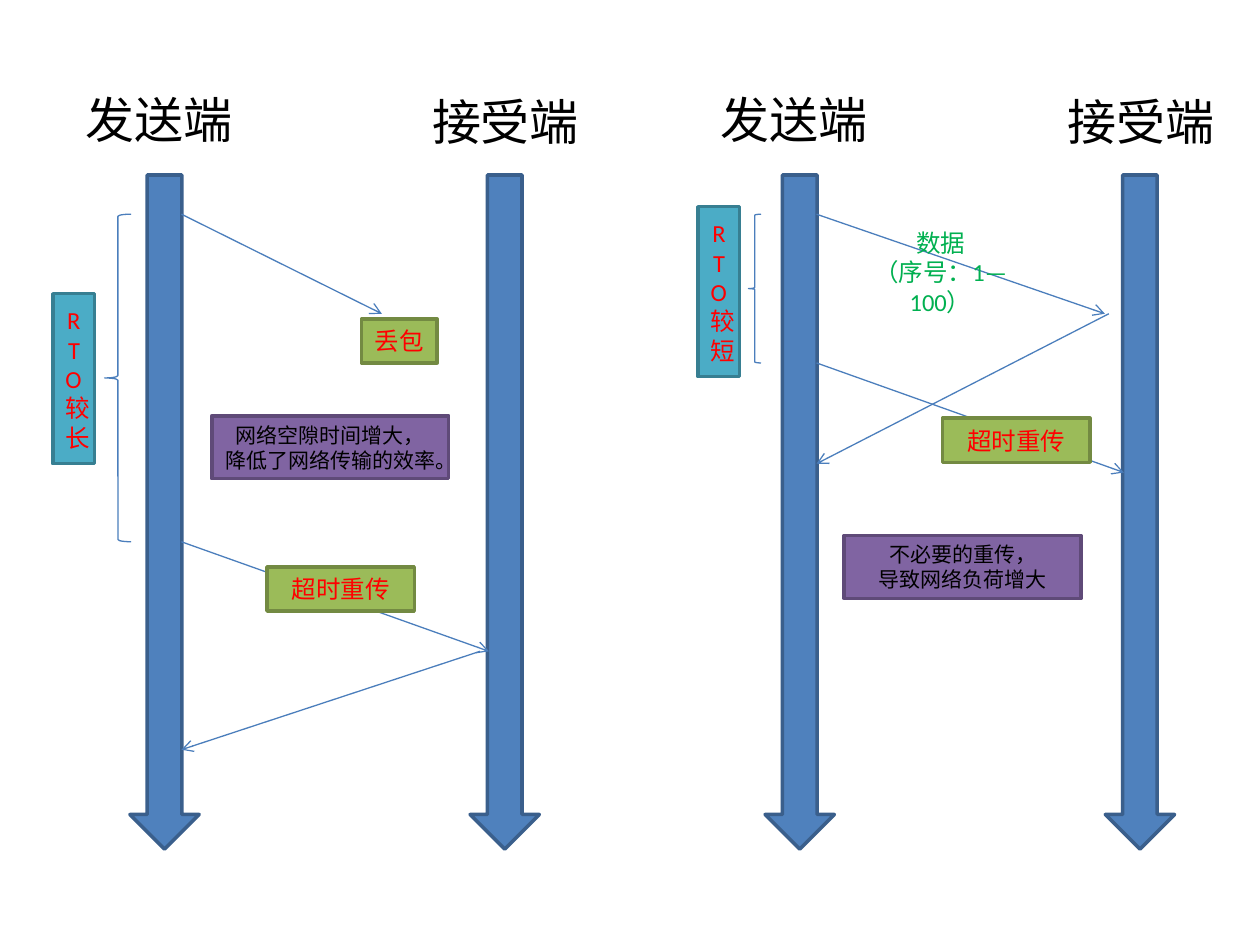
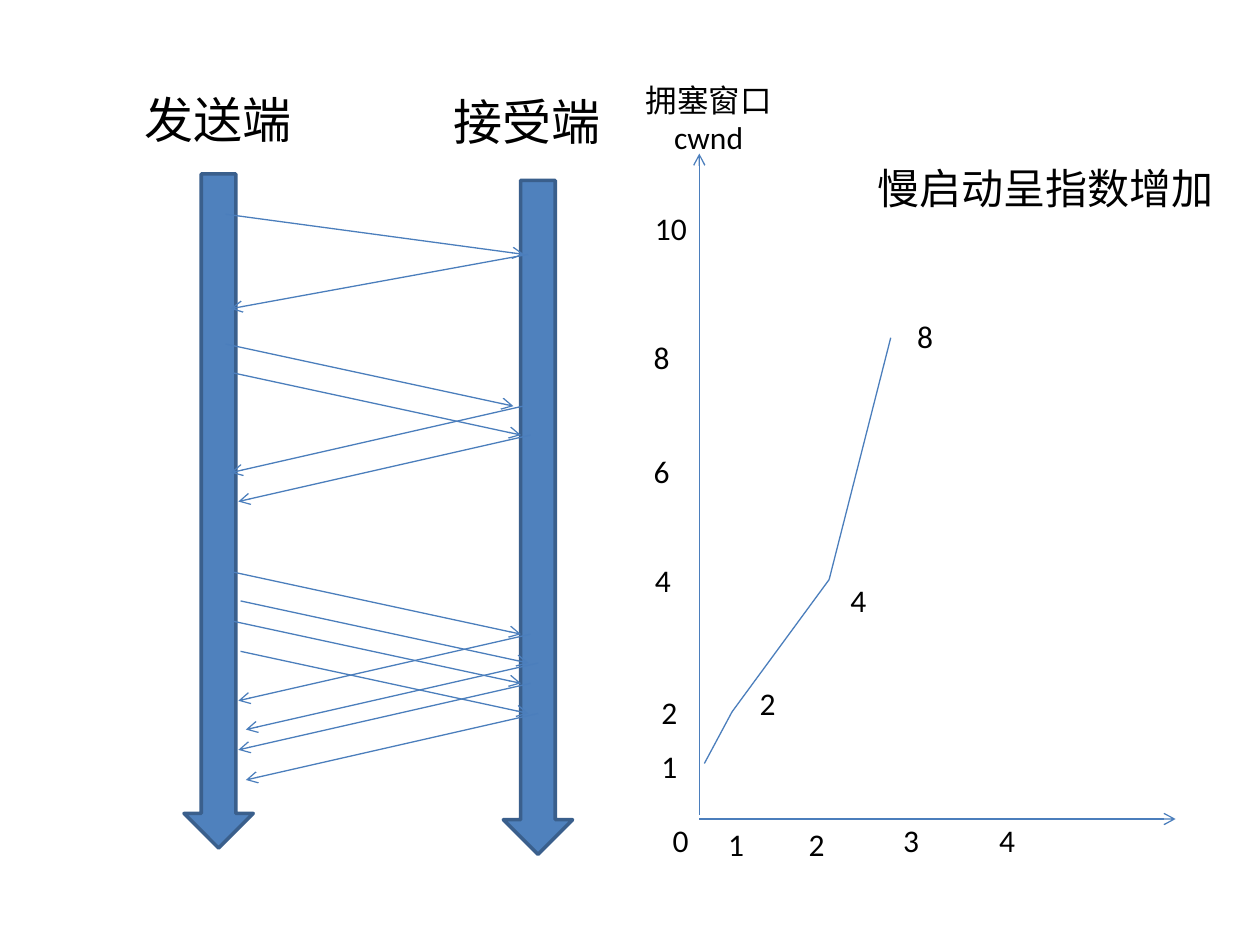
"""Build two slides on retransmission timeouts and slow start."""
from dataclasses import dataclass
from itertools import pairwise

from lxml import etree
from pptx import Presentation, util as u
from pptx.dml.color import RGBColor
from pptx.enum import shapes, text
from pptx.oxml.ns import qn


@dataclass(frozen=True)
class Theme:
    """Colours, font and type sizes."""
    font: str = "Calibri"
    ink: str = "000000"
    red: str = "FF0000"
    green: str = "00B050"
    line: str = "4B7EBC"
    lane: tuple = ("4F81BD", "3A5F8C")
    event: tuple = ("9BBB59", "738A42")
    timer: tuple = ("4BACC6", "377F92")
    note: tuple = ("8064A2", "5F4A78")
    head: int = 28
    title: int = 24
    axis: int = 18
    label: int = 14
    small: int = 12
    thin: float = 0.75
    edge: int = 2


T = Theme()
SHAPE = shapes.MSO_SHAPE
ALIGN = text.PP_ALIGN
ANCHOR = text.MSO_ANCHOR


def rgb(code):
    """Turn a hex code into a colour."""
    return RGBColor.from_string(code)


def write(shape, words, size=T.label, color=T.ink, align=ALIGN.LEFT, anchor=ANCHOR.TOP):
    """Write one paragraph per line of words into a shape."""
    frame = shape.text_frame
    frame.word_wrap = True
    frame.auto_size = text.MSO_AUTO_SIZE.NONE
    frame.vertical_anchor = anchor
    frame.text = words
    for para in frame.paragraphs:
        para.alignment = align
        for run in para.runs:
            run.font.name = T.font
            run.font.size = u.Pt(size)
            run.font.color.rgb = rgb(color)


def label(slide, words, x, y, w, h, **style):
    """Add a text box."""
    write(slide.shapes.add_textbox(*map(u.Pt, (x, y, w, h))), words, **style)


def form(slide, kind, x, y, w, h, fill=None, edge=T.line, width=T.thin):
    """Add a preset shape without a shadow."""
    shape = slide.shapes.add_shape(kind, *map(u.Pt, (x, y, w, h)))
    shape.shadow.inherit = False
    if fill:
        shape.fill.solid()
        shape.fill.fore_color.rgb = rgb(fill)
    else:
        shape.fill.background()
    shape.line.color.rgb = rgb(edge)
    shape.line.width = u.Pt(width)
    return shape


def box(slide, words, x, y, w, h, look, **style):
    """Add a filled box with centred text."""
    shape = form(slide, SHAPE.RECTANGLE, x, y, w, h, *look, T.edge)
    write(shape, words, align=ALIGN.CENTER, anchor=ANCHOR.MIDDLE, **style)


def event(slide, words, x, y, w=84.2):
    """Add a green box that names an event."""
    box(slide, words, x, y, w, 25.2, T.event, color=T.red)


def timer(slide, words, x, y):
    """Add a tall box that names a timeout."""
    box(slide, words, x, y, 23.8, 97.2, T.timer, color=T.red)


def note(slide, words, x, y):
    """Add a purple box with a remark."""
    box(slide, words, x, y, 135.4, 36, T.note, size=T.small)


def brace(slide, x, y, w, h):
    """Add a left brace."""
    form(slide, SHAPE.LEFT_BRACE, x, y, w, h)


def link(slide, start, end, arrow=True):
    """Draw a line between two points, with an arrowhead if asked."""
    ends = map(u.Pt, (*start, *end))
    line = slide.shapes.add_connector(shapes.MSO_CONNECTOR.STRAIGHT, *ends)
    line.line.color.rgb = rgb(T.line)
    line.line.width = u.Pt(T.thin)
    props = line.element.spPr
    if arrow:
        etree.SubElement(props.find(qn("a:ln")), qn("a:tailEnd"), type="arrow")
    etree.SubElement(props, qn("a:effectLst"))


def lane(slide, words, x, y, head, top):
    """Add a timeline arrow and its heading."""
    form(slide, SHAPE.DOWN_ARROW, x, y, 39.6, 385.2, *T.lane, T.edge)
    label(slide, words, head, top, 103, 41, size=T.head)


def lanes(slide, send, take):
    """Add the sender and receiver timelines."""
    lane(slide, "发送端", *send, 47.5)
    lane(slide, "接受端", *take, 49)


def timeouts(deck):
    """Compare a long timeout with a short one."""
    slide = deck.slides.add_slide(deck.slide_layouts[6])
    for x in (0, 363):
        lanes(slide, (x + 74.2, 100, x + 41.8), (x + 268.6, 100, x + 239.8))
    for start, end in (
        ((103.7, 122.4), (218.2, 179.3)),
        ((103.7, 309.6), (279.4, 372.2)),
        ((274.3, 372.2), (103.7, 428.4)),
        ((466.6, 122.4), (631.4, 179.3)),
        ((466.6, 207.4), (642.2, 270)),
        ((633.6, 179.3), (466.6, 265)),
    ):
        link(slide, start, end)
    brace(slide, 59.8, 122.4, 15.1, 187.2)
    brace(slide, 427.7, 122.4, 7.2, 85)
    timer(slide, "RTO较长", 30.2, 167.8)
    timer(slide, "RTO较短", 398.9, 118.1)
    event(slide, "丢包", 206.6, 182.2, 43.2)
    event(slide, "超时重传", 152.6, 324)
    event(slide, "超时重传", 538.6, 239)
    label(slide, "数据\n（序号：1—100）", 479.5, 126.7, 116, 39.6,
          color=T.green, align=ALIGN.CENTER)
    note(slide, "网络空隙时间增大，\n降低了网络传输的效率。", 121, 237.6)
    note(slide, "不必要的重传，\n导致网络负荷增大", 482.4, 306)


def trips(slide):
    """Draw data and reply arrows for the rounds of one, two and four."""
    link(slide, (128.9, 122.4), (299.5, 145.4))
    link(slide, (301.7, 145.4), (131.8, 176.4))
    for x, y in ((128.9, 196.6), (133.2, 213.1), (133.2, 326.9),
                 (137.5, 343.4), (133.2, 355), (137.5, 372.2)):
        turn = y + 35.5
        link(slide, (x, y), (x + 164.5, turn))
        link(slide, (x + 170, turn), (x + 3, turn + 38))


def graph(slide):
    """Draw the window size against the round."""
    link(slide, (399.6, 468), (671.8, 468))
    link(slide, (399.6, 465.8), (399.6, 87.8))
    label(slide, "拥塞窗口\ncwnd", 361.4, 42.5, 87.1, 51,
          size=T.axis, align=ALIGN.CENTER)
    rise = ((367.2, 115.9, 10), (366.5, 189.4, 8), (366.5, 254.9, 6),
            (367.2, 316.8, 4), (370.8, 392.4, 2), (370.8, 423.4, 1))
    rounds = ((377.3, 465.8, 0), (409, 468, 1), (455, 468, 2),
              (509, 465.8, 3), (563.8, 465.8, 4))
    marks = ((427, 387.4, 2), (478.8, 328.3, 4), (517, 177.8, 8))
    for x, y, value in rise + rounds + marks:
        label(slide, str(value), x, y, 38.2, 28.8, size=T.axis)
    curve = ((402.5, 436.3), (418.3, 406.8), (473.8, 331.2), (509, 193))
    for start, end in pairwise(curve):
        link(slide, start, end, arrow=False)


def growth(deck):
    """Show slow start as message rounds and as a graph."""
    slide = deck.slides.add_slide(deck.slide_layouts[5])
    title = slide.shapes.title
    title.left, title.top, title.width, title.height = map(u.Pt, (494, 89.3, 219, 40.3))
    write(title, "慢启动呈指数增加", size=T.title)
    lanes(slide, (105.1, 99.4, 75.6), (287.6, 103, 252))
    trips(slide)
    graph(slide)


def main():
    """Build and save the deck."""
    deck = Presentation()
    deck.slide_width, deck.slide_height = u.Pt(720), u.Pt(540)
    timeouts(deck)
    growth(deck)
    deck.save("out.pptx")


if __name__ == "__main__":
    main()
